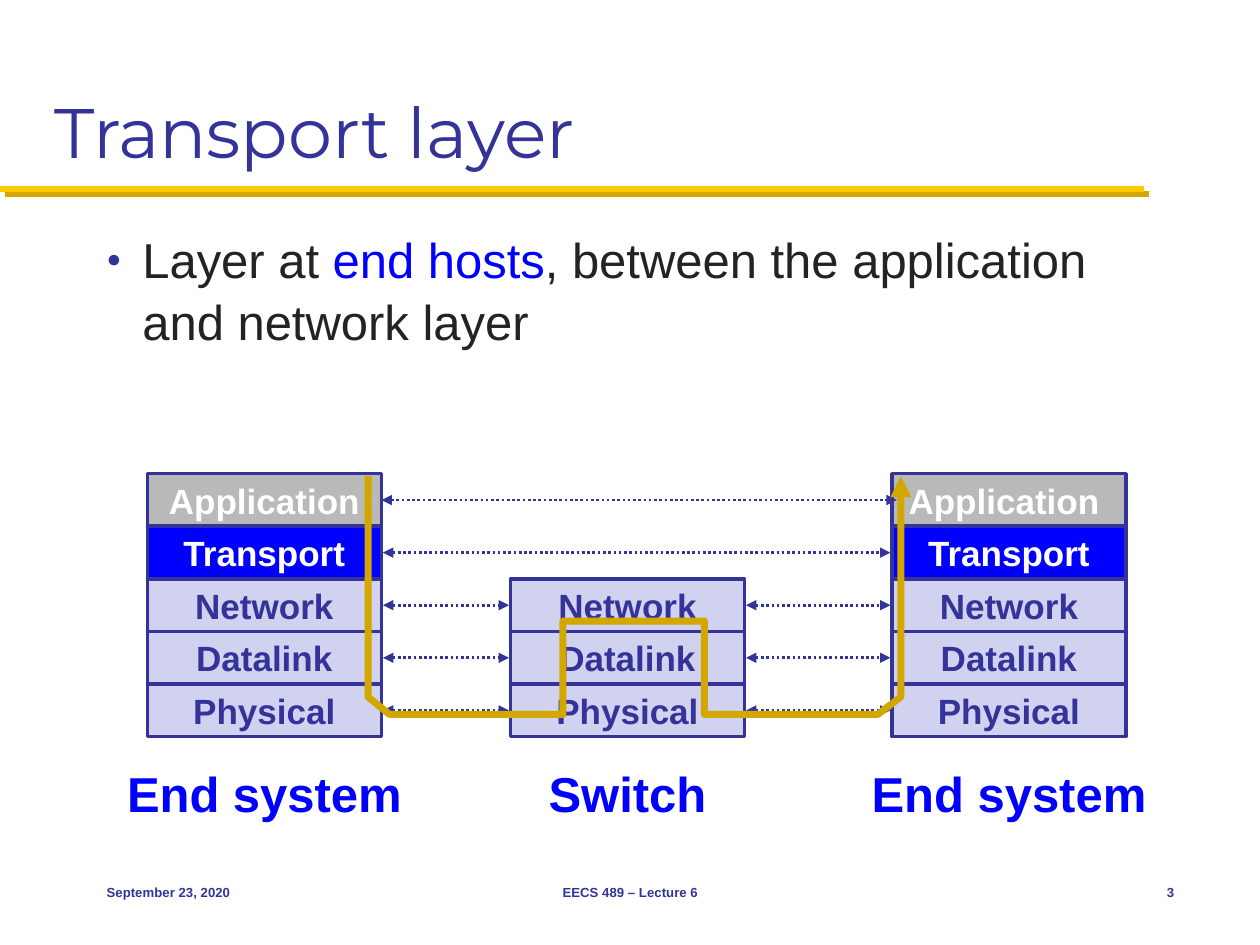
import dataclasses
import typing

import lxml.etree
import pptx
import pptx.dml.color
import pptx.enum.dml
import pptx.enum.shapes
import pptx.enum.text
import pptx.oxml.ns
import pptx.util

Cm = pptx.util.Cm
Align = pptx.enum.text.PP_ALIGN
Anchor = pptx.enum.text.MSO_ANCHOR


@dataclasses.dataclass(frozen=True)
class Theme:
    heading_font: str = "Montserrat"
    font: str = "Arial"
    navy: str = "333399"
    blue: str = "0000FF"
    lilac: str = "D1D1F0"
    grey: str = "B9B9B9"
    white: str = "FFFFFF"
    ink: str = "232323"
    gold: str = "FFCB05"
    ochre: str = "D3A600"
    title_size: float = 40
    body_size: float = 28
    layer_size: float = 20
    footer_size: float = 7.5


THEME = Theme()


@dataclasses.dataclass(frozen=True)
class Span:
    text: str
    size: float
    color: str
    bold: bool = False
    font: str = THEME.font


@dataclasses.dataclass(frozen=True)
class Layer:
    name: str
    fill: str = THEME.lilac
    color: str = THEME.navy


@dataclasses.dataclass(frozen=True)
class Stack:
    caption: str
    caption_width: float
    left: float
    first_row: int = 0
    top_inset: float = 0


@dataclasses.dataclass(frozen=True)
class Link:
    row: int
    start: float
    end: float


@dataclasses.dataclass(frozen=True)
class Footer:
    text: str
    left: float
    width: float
    align: typing.Any


LAYERS = [
    Layer("Application", THEME.grey, THEME.white),
    Layer("Transport", THEME.blue, THEME.white),
    Layer("Network"),
    Layer("Datalink"),
    Layer("Physical"),
]
SENDER = Stack("End system", 6.12, 2.97)
SWITCH = Stack("Switch", 3.73, 10.29, first_row=2)
RECEIVER = Stack("End system", 6.12, 17.98, top_inset=0.2)
STACK_TOP, ROW_HEIGHT, STACK_WIDTH, LINK_GAP = 9.55, 1.06, 4.72, 0.03
ROUTE = [
    (7.42, 9.6), (7.42, 14.05), (7.85, 14.4), (11.35, 14.4), (11.35, 12.52),
    (14.2, 12.52), (14.2, 14.4), (17.7, 14.4), (18.16, 14.05), (18.16, 9.6),
]
FOOTERS = [
    Footer("September 23, 2020", 1.9, 5.29, Align.LEFT),
    Footer("EECS 489 – Lecture 6", 8.68, 8.05, Align.CENTER),
    Footer("3", 22.23, 1.69, Align.RIGHT),
]


def rgb(color: str) -> pptx.dml.color.RGBColor:
    return pptx.dml.color.RGBColor.from_string(color)


def add_element(parent: typing.Any, tag: str, **attributes: str) -> typing.Any:
    return lxml.etree.SubElement(parent, pptx.oxml.ns.qn(tag), attributes)


def write(frame: typing.Any, spans: list[Span], align: typing.Any, anchor: typing.Any) -> typing.Any:
    frame.word_wrap = True
    frame.auto_size = pptx.enum.text.MSO_AUTO_SIZE.NONE
    frame.vertical_anchor = anchor
    para = frame.paragraphs[0]
    para.alignment = align
    for item in spans:
        span = para.add_run()
        span.text = item.text
        span.font.name = item.font
        span.font.size = pptx.util.Pt(item.size)
        span.font.bold = item.bold
        span.font.color.rgb = rgb(item.color)
    return para


def add_text(page: typing.Any, left: float, top: float, width: float, height: float,
             spans: list[Span], align: typing.Any, anchor: typing.Any = Anchor.TOP) -> typing.Any:
    box = page.shapes.add_textbox(Cm(left), Cm(top), Cm(width), Cm(height))
    return write(box.text_frame, spans, align, anchor)


def add_line(page: typing.Any, start: tuple[float, float], end: tuple[float, float],
             color: str, weight: float) -> tuple[typing.Any, typing.Any]:
    line = page.shapes.add_connector(
        pptx.enum.shapes.MSO_CONNECTOR.STRAIGHT, *map(Cm, start + end))
    line.line.color.rgb = rgb(color)
    line.line.width = pptx.util.Pt(weight)
    return line, add_element(line._element.spPr, "a:effectLst")


def add_title(page: typing.Any) -> None:
    rule, effects = add_line(page, (0, 3.81), (23.06, 3.81), THEME.gold, 3.5)
    shadow = add_element(effects, "a:outerShdw", dist="53340", dir="2700000",
                         algn="ctr", rotWithShape="0")
    add_element(shadow, "a:srgbClr", val=THEME.ochre)
    title = page.shapes.title
    title.left, title.top, title.width, title.height = map(Cm, (0.84, 0.43, 23.7, 3.18))
    write(title.text_frame,
          [Span("Transport layer", THEME.title_size, THEME.navy, font=THEME.heading_font)],
          Align.LEFT, Anchor.BOTTOM)


def add_body(page: typing.Any) -> None:
    size = THEME.body_size
    para = add_text(page, 1.9, 4.45, 22.02, 12.27, [
        Span("Layer at ", size, THEME.ink),
        Span("end hosts", size, THEME.blue),
        Span(", between the application and network layer", size, THEME.ink),
    ], Align.LEFT)
    properties = para._p.get_or_add_pPr()
    properties.set("marL", str(Cm(0.72)))
    properties.set("indent", str(-Cm(0.72)))
    add_element(add_element(properties, "a:buClr"), "a:srgbClr", val=THEME.navy)
    add_element(properties, "a:buSzPct", val="50000")
    add_element(properties, "a:buFont", typeface=THEME.font)
    add_element(properties, "a:buChar", char="●")
    para.line_spacing = 1.05
    para.space_before = pptx.util.Pt(1.5)


def add_stack(page: typing.Any, stack: Stack) -> None:
    for row, layer in enumerate(LAYERS):
        if row < stack.first_row:
            continue
        box = page.shapes.add_shape(
            pptx.enum.shapes.MSO_SHAPE.RECTANGLE, Cm(stack.left),
            Cm(STACK_TOP + row * ROW_HEIGHT), Cm(STACK_WIDTH), Cm(ROW_HEIGHT))
        box.shadow.inherit = False
        box.fill.solid()
        box.fill.fore_color.rgb = rgb(layer.fill)
        box.line.color.rgb = rgb(THEME.navy)
        box.line.width = pptx.util.Pt(2)
        frame = box.text_frame
        frame.margin_left = frame.margin_top = frame.margin_bottom = 0
        frame.margin_right = Cm(stack.top_inset if row == 0 else 0)
        write(frame, [Span(layer.name, THEME.layer_size, layer.color, True)],
              Align.CENTER, Anchor.MIDDLE)
    center = stack.left + STACK_WIDTH / 2
    add_text(page, center - stack.caption_width / 2, 15.27, stack.caption_width, 1.45,
             [Span(stack.caption, THEME.body_size, THEME.blue, True)], Align.CENTER)


def add_link(page: typing.Any, link: Link) -> None:
    middle = STACK_TOP + (link.row + 0.5) * ROW_HEIGHT
    line, _ = add_line(page, (link.start, middle), (link.end, middle), THEME.navy, 1.5)
    line.line.dash_style = pptx.enum.dml.MSO_LINE.ROUND_DOT
    for tag in ("a:headEnd", "a:tailEnd"):
        add_element(line.line._get_or_add_ln(), tag, type="triangle")


def add_links(page: typing.Any) -> None:
    add_link(page, Link(0, SENDER.left + STACK_WIDTH, RECEIVER.left + 0.1))
    pairs = [(1, SENDER, RECEIVER)]
    for row in range(SWITCH.first_row, len(LAYERS)):
        pairs += [(row, SENDER, SWITCH), (row, SWITCH, RECEIVER)]
    for row, near, far in pairs:
        add_link(page, Link(row, near.left + STACK_WIDTH + LINK_GAP, far.left - LINK_GAP))


def add_route(page: typing.Any) -> None:
    points = [(Cm(x), Cm(y)) for x, y in ROUTE]
    builder = page.shapes.build_freeform(*points[0])
    builder.add_line_segments(points[1:], close=False)
    route = builder.convert_to_shape()
    route.shadow.inherit = False
    route.fill.background()
    route.line.color.rgb = rgb(THEME.ochre)
    route.line.width = pptx.util.Pt(4)
    add_element(route.line._get_or_add_ln(), "a:tailEnd", type="triangle")


def main() -> None:
    deck = pptx.Presentation()
    deck.slide_width, deck.slide_height = Cm(25.4), Cm(19.05)
    page = deck.slides.add_slide(deck.slide_layouts[5])
    add_title(page)
    add_body(page)
    for footer in FOOTERS:
        add_text(page, footer.left, 17.35, footer.width, 1.27,
                 [Span(footer.text, THEME.footer_size, THEME.navy, True)],
                 footer.align, Anchor.MIDDLE)
    for stack in (SENDER, SWITCH, RECEIVER):
        add_stack(page, stack)
    add_links(page)
    add_route(page)
    deck.save("out.pptx")


if __name__ == "__main__":
    main()
